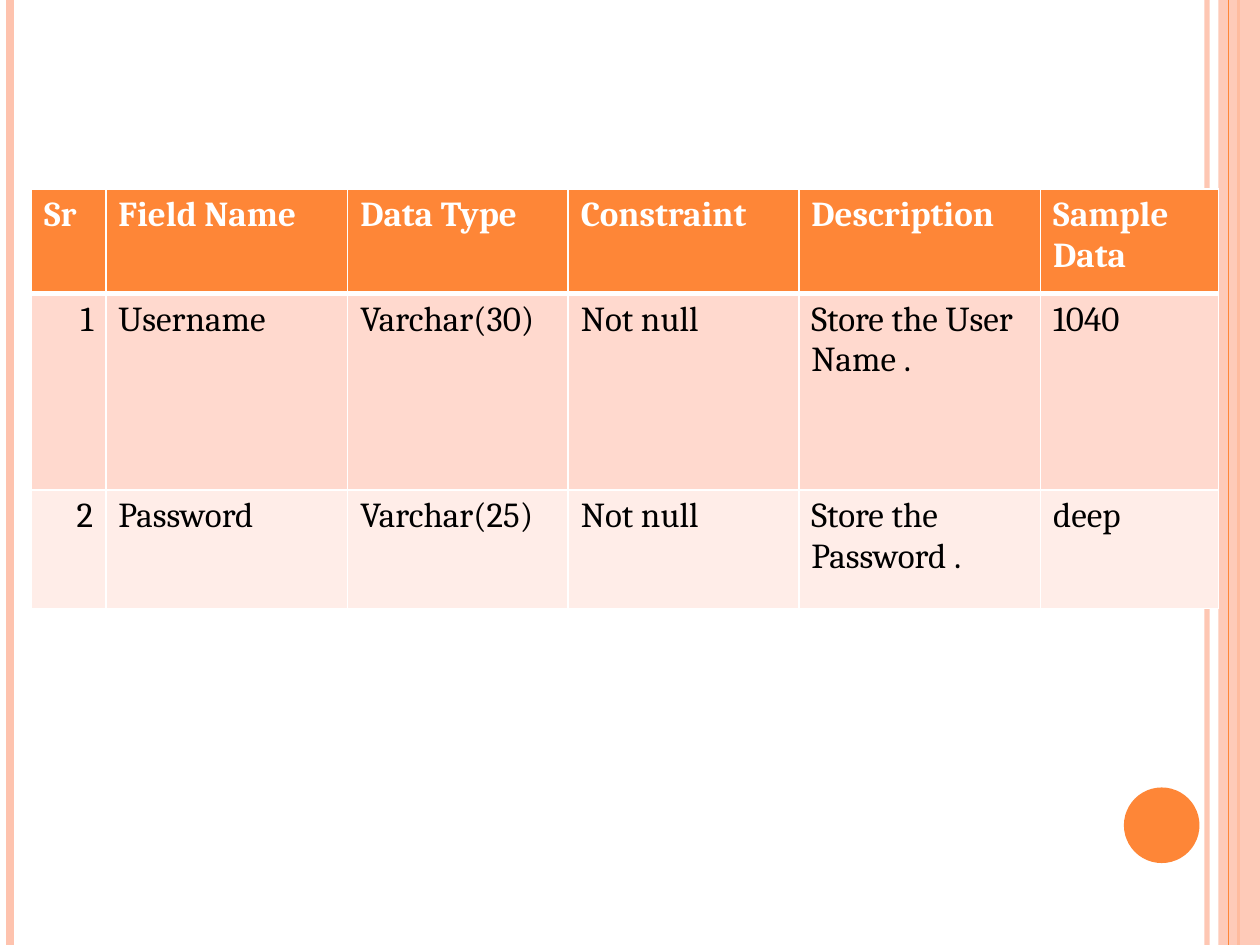
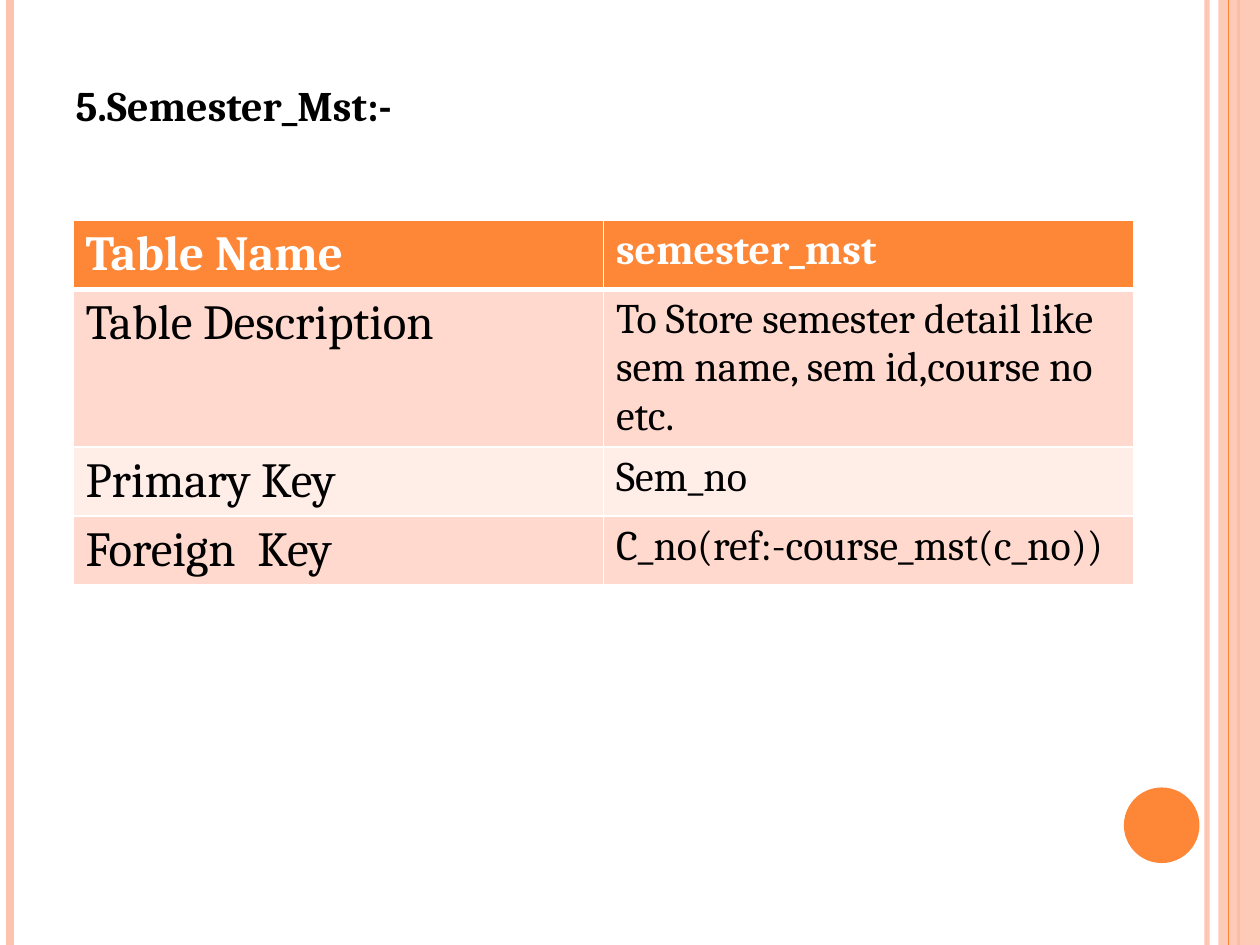
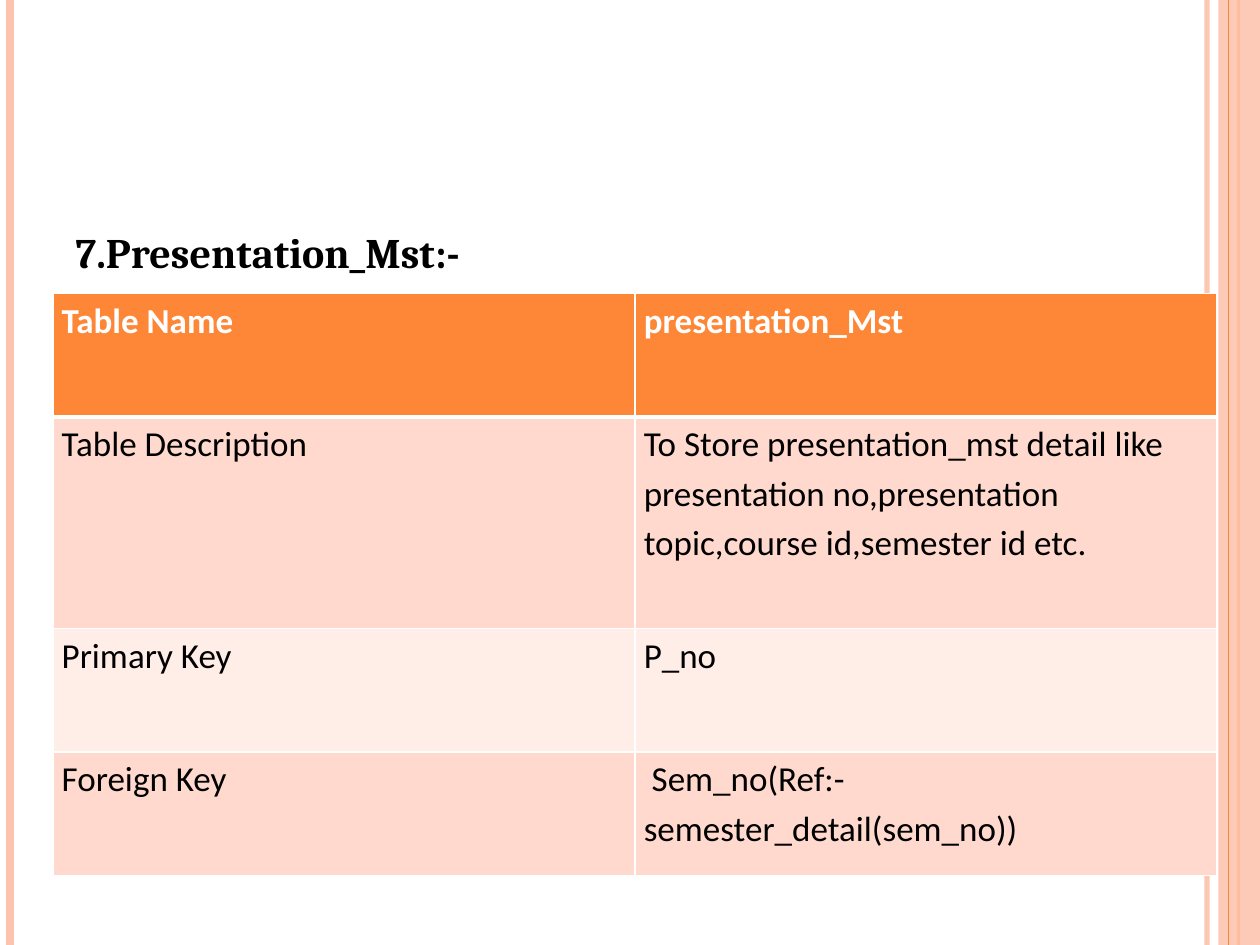
from lxml import etree
from pptx import Presentation
from pptx import util as u
from pptx.dml.color import RGBColor
from pptx.enum import shapes, text
from pptx.oxml import ns

ORANGE, PEACH, WHITE, BLACK = "FE8637", "FEC3AE", "FFFFFF", "000000"
BANDS = ["FFD9CE", "FFEDE8"]
SLIDE_W, SLIDE_H = 10, 7.5
TITLE_ONLY, BLANK = 5, 6
HEADING = {"name": "Cambria", "size": u.Pt(24), "bold": True}
NARROW = {"margin_left": u.Inches(0.07), "margin_right": u.Inches(0.07),
          "margin_top": 0, "margin_bottom": 0}


def rgb(value):
    return RGBColor.from_string(value)


def inches(*lengths):
    return [u.Inches(length) for length in lengths]


def set_all(target, values):
    for name, value in values.items():
        setattr(target, name, value)


def set_font(font, color, values):
    set_all(font, values)
    font.color.rgb = rgb(color)


def set_alpha(properties, percent):
    color = properties.find(".//" + ns.qn("a:srgbClr"))
    etree.SubElement(color, ns.qn("a:alpha"), val=str(percent * 1000))


def add_stripe(slide, x, color, width, alpha=100):
    """Draw a line down the full height of the slide."""
    stripe = slide.shapes.add_connector(
        shapes.MSO_CONNECTOR.STRAIGHT, *inches(x, 0, x, SLIDE_H))
    stripe.line.color.rgb = rgb(color)
    stripe.line.width = u.Pt(width)
    properties = stripe._element.spPr
    if alpha < 100:
        set_alpha(properties, alpha)
    etree.SubElement(properties, ns.qn("a:effectLst"))


def add_filled(slide, kind, place, color):
    shape = slide.shapes.add_shape(kind, *inches(*place))
    shape.shadow.inherit = False
    shape.fill.solid()
    shape.fill.fore_color.rgb = rgb(color)
    shape.line.fill.background()
    return shape


def add_frame(slide):
    """Draw the stripes, side band and disc that every slide has."""
    add_stripe(slide, 9.58, PEACH, 3, alpha=93)
    add_stripe(slide, 0.08, PEACH, 4.5)
    add_stripe(slide, 9.83, ORANGE, 1.5)
    band = add_filled(slide, shapes.MSO_SHAPE.RECTANGLE,
                      (9.67, 0, 0.33, SLIDE_H), PEACH)
    set_alpha(band._element.spPr, 87)
    add_stripe(slide, 9.75, ORANGE, 0.75)
    add_filled(slide, shapes.MSO_SHAPE.OVAL, (8.92, 6.25, 0.6, 0.6), ORANGE)


def add_slide(deck, heading=None, top=None):
    slide = deck.slides.add_slide(
        deck.slide_layouts[TITLE_ONLY if heading else BLANK])
    add_frame(slide)
    if heading:
        title = slide.shapes.title
        title.left, title.top, title.width, title.height = inches(
            0.5, top, 8.17, 5.33)
        frame = title.text_frame
        frame.text = heading
        set_all(frame, {"word_wrap": True,
                        "auto_size": text.MSO_AUTO_SIZE.NONE,
                        "vertical_anchor": text.MSO_ANCHOR.TOP})
        paragraph = frame.paragraphs[0]
        paragraph.alignment = text.PP_ALIGN.LEFT
        set_font(paragraph.font, BLACK, HEADING)
    return slide


def set_borders(cell, top, bottom):
    """Give the cell white borders; they must come before its fill."""
    properties = cell._tc.get_or_add_tcPr()
    widths = {"lnL": 1, "lnR": 1, "lnT": top, "lnB": bottom}
    for position, (side, width) in enumerate(widths.items()):
        border = etree.Element(ns.qn("a:" + side), w=str(u.Pt(width)))
        fill = etree.SubElement(border, ns.qn("a:solidFill"))
        etree.SubElement(fill, ns.qn("a:srgbClr"), val=WHITE)
        properties.insert(position, border)


def add_field_table(slide, corner, widths, heights, rows, font, sizes,
                    margins=None, spacing=None, right_column=None):
    """Add a table with an orange header, banded rows and a size per column."""
    place = inches(*corner, sum(widths), sum(heights))
    table = slide.shapes.add_table(len(rows), len(widths), *place).table
    for column, width in zip(table.columns, widths):
        column.width = u.Inches(width)
    for r, (row, height) in enumerate(zip(rows, heights)):
        table.rows[r].height = u.Inches(height)
        header = r == 0
        for c, words in enumerate(row):
            cell = table.cell(r, c)
            cell.text = words
            cell.fill.solid()
            cell.fill.fore_color.rgb = rgb(
                ORANGE if header else BANDS[(r - 1) % 2])
            set_borders(cell, 3 if r == 1 else 1, 3 if header else 1)
            set_all(cell, margins or {})
            paragraph = cell.text_frame.paragraphs[0]
            if spacing:
                paragraph.line_spacing = spacing
            if c == right_column and not header:
                paragraph.alignment = text.PP_ALIGN.RIGHT
            set_font(paragraph.font, WHITE if header else BLACK,
                     {"name": font, "size": u.Pt(sizes[c]), "bold": header})


def main():
    deck = Presentation()
    deck.slide_width, deck.slide_height = inches(SLIDE_W, SLIDE_H)

    add_field_table(
        add_slide(deck), (0.25, 1.5),
        [0.59, 1.92, 1.75, 1.83, 1.92, 1.41], [0.83, 1.56, 0.94],
        [["Sr", "Field Name", "Data Type", "Constraint", "Description",
          "Sample Data"],
         ["1", "Username", "Varchar(30)", "Not null", "Store the User Name .",
          "1040"],
         ["2", "Password", "Varchar(25)", "Not null", "Store the Password .",
          "deep"]],
        "Cambria", [20] * 6, right_column=0)

    add_field_table(
        add_slide(deck, "5.Semester_Mst:-", 0.58), (0.58, 1.75),
        [4.21] * 2, [0.54, 1.25, 0.54, 0.54],
        [["Table Name", "semester_mst"],
         ["Table Description",
          "To Store semester detail like sem name, sem id,course no etc."],
         ["Primary Key", "Sem_no"],
         ["Foreign  Key", "C_no(ref:-course_mst(c_no))"]],
        "Cambria", [28, 24])

    add_field_table(
        add_slide(deck, "7.Presentation_Mst:-", 1.75), (0.42, 2.33),
        [4.62] * 2, [0.98, 1.68, 0.98, 0.98],
        [["Table Name", "presentation_Mst"],
         ["Table Description",
          "To Store presentation_mst detail like presentation "
          "no,presentation topic,course id,semester id etc."],
         ["Primary Key", "P_no"],
         ["Foreign Key", " Sem_no(Ref:-semester_detail(sem_no))"]],
        "Calibri", [20] * 2, margins=NARROW, spacing=1.15)

    deck.save("out.pptx")


if __name__ == "__main__":
    main()
